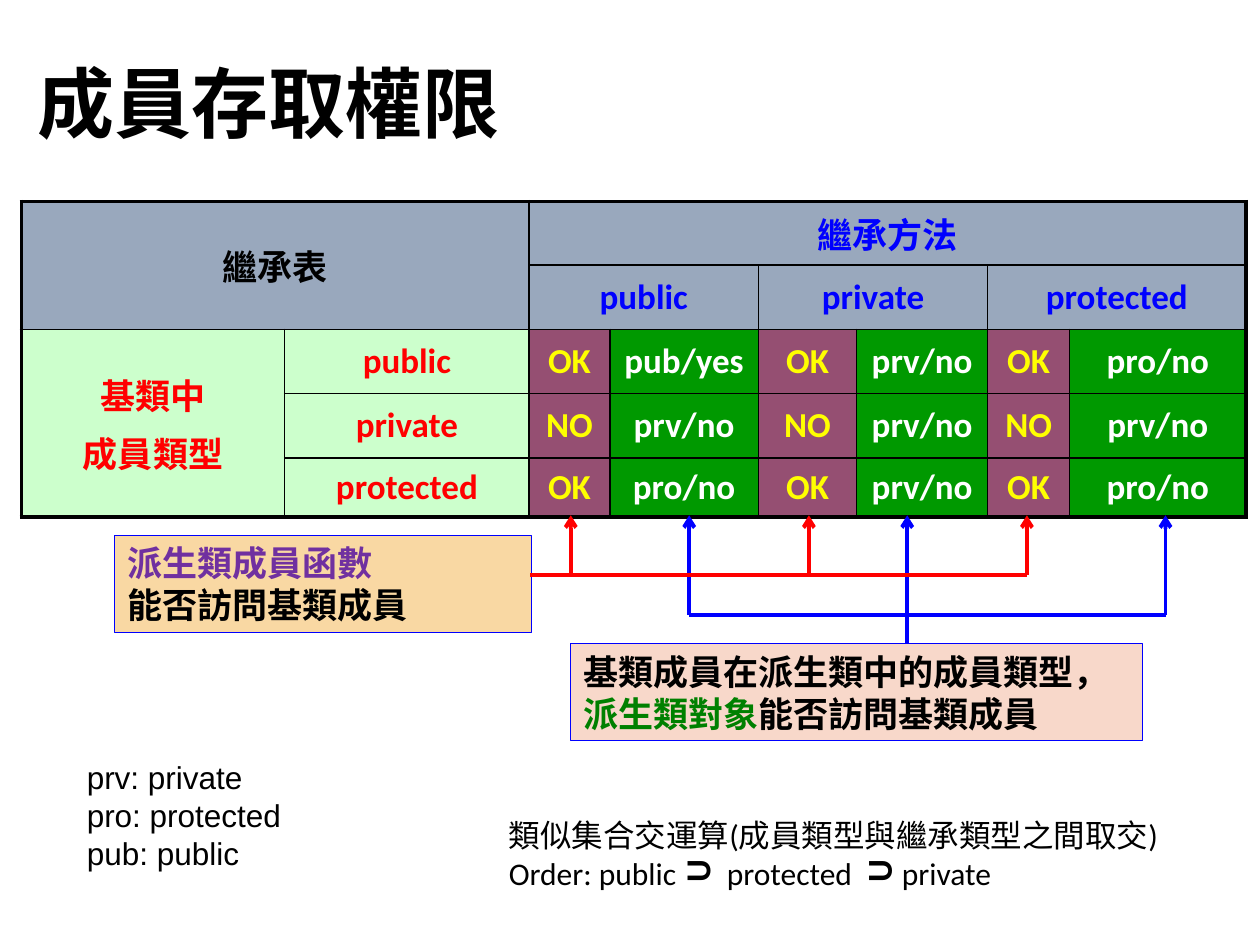
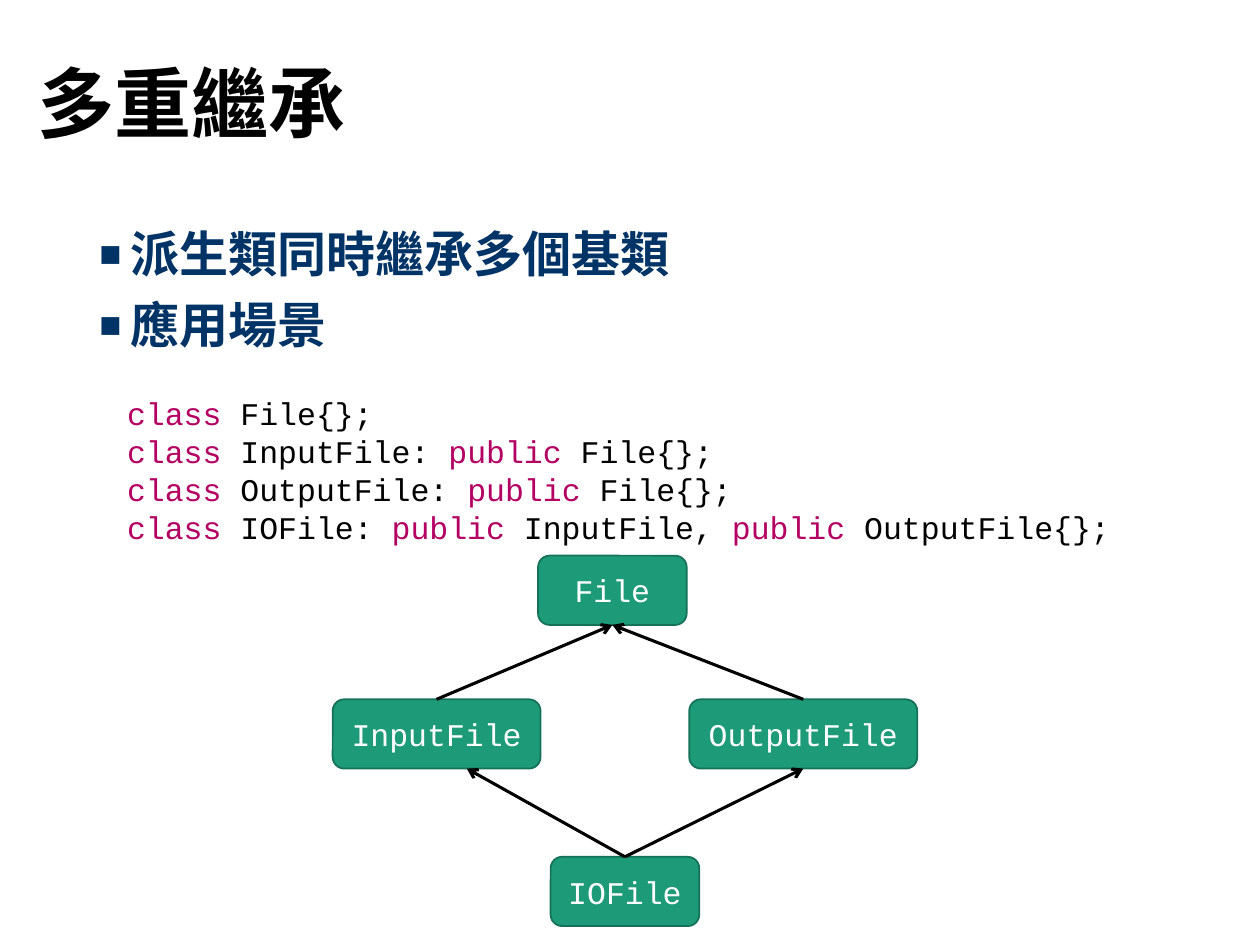
import itertools

import pptx
import pptx.dml.color
import pptx.enum.shapes
import pptx.enum.text
import pptx.oxml
import pptx.oxml.ns
import pptx.util
from lxml import etree

Inches, Pt = pptx.util.Inches, pptx.util.Pt
ANCHOR = pptx.enum.text.MSO_ANCHOR
ALIGN = pptx.enum.text.PP_ALIGN
SHAPE = pptx.enum.shapes.MSO_SHAPE
qn = pptx.oxml.ns.qn

BLACK, WHITE, RED, BLUE = "000000", "FFFFFF", "FF0000", "0000FF"
HEADER, MEMBER, ACCESS, RESULT = "99A8BD", "CCFFCC", "954F72", "009900"
KEYWORD, NAVY, NODE, NODE_LINE = "B40062", "003366", "1D9A78", "157259"

CJK = "Noto Sans CJK SC"
TITLE = {"name": CJK, "size": Pt(44), "bold": True}
STRONG = {"name": "Calibri", "size": Pt(20), "bold": True}
NOTE = {"name": "Calibri", "size": Pt(18)}
LEGEND = {"name": "Arial", "size": Pt(18)}
BULLET = {"name": "Courier New", "size": Pt(28), "bold": True}
CODE = {"name": "Courier New", "size": Pt(18)}


def rgb(value):
    """Turn a hex string into a colour."""
    return pptx.dml.color.RGBColor.from_string(value)


def inches(*values):
    """Turn numbers into lengths."""
    return [Inches(v) for v in values]


def write(tf, lines, fmt, **para):
    """Fill a frame with lines, each a list of (text, colour) runs."""
    tf.word_wrap = True
    for i, line in enumerate(lines):
        p = tf.paragraphs[0] if i == 0 else tf.add_paragraph()
        for key, value in para.items():
            if i or key != "space_before":
                setattr(p, key, value)
        for text, color in line:
            r = p.add_run()
            r.text = text
            for key, value in fmt.items():
                setattr(r.font, key, value)
            r.font.color.rgb = rgb(color)
            etree.SubElement(r.font._element, qn("a:ea"), typeface=CJK)


def add_text(s, box, lines, fmt, **para):
    """Add a text box and return it."""
    sp = s.shapes.add_textbox(*inches(*box))
    write(sp.text_frame, lines, fmt, **para)
    return sp


def add_box(s, kind, box, fill, line, width):
    """Add a filled and outlined shape without shadow."""
    sp = s.shapes.add_shape(kind, *inches(*box))
    sp.shadow.inherit = False
    sp.fill.solid()
    sp.fill.fore_color.rgb = rgb(fill)
    sp.line.color.rgb = rgb(line)
    sp.line.width = Pt(width)
    return sp


def add_line(s, start, end, color, width, arrow=None):
    """Add a straight connector, with an arrowhead at the named end."""
    straight = pptx.enum.shapes.MSO_CONNECTOR.STRAIGHT
    cxn = s.shapes.add_connector(straight, *inches(*start, *end))
    cxn.line.color.rgb = rgb(color)
    cxn.line.width = Pt(width)
    if arrow:
        etree.SubElement(cxn.line._get_or_add_ln(), qn(f"a:{arrow}"), type="arrow")
    etree.SubElement(cxn._element.spPr, qn("a:effectLst"))
    return cxn


def add_slide(prs, title):
    """Add a title-only slide with the shared title style."""
    s = prs.slides.add_slide(prs.slide_layouts[5])
    sp = s.shapes.title
    sp.left, sp.top, sp.width, sp.height = inches(0.2, 0.13, 8.62, 1.45)
    tf = sp.text_frame
    tf.auto_size = pptx.enum.text.MSO_AUTO_SIZE.NONE
    tf.vertical_anchor = ANCHOR.MIDDLE
    write(tf, [[(title, BLACK)]], TITLE, alignment=ALIGN.LEFT, line_spacing=0.9)
    return s


def set_borders(cell, widths):
    """Draw black borders, given widths by side letter."""
    for side in "LRTB":
        cell._tc.get_or_add_tcPr().append(pptx.oxml.parse_xml(
            f'<a:ln{side} xmlns:a="http://schemas.openxmlformats.org/drawingml/2006/main"'
            f' w="{Pt(widths[side])}"><a:solidFill><a:srgbClr val="{BLACK}"/>'
            f'</a:solidFill></a:ln{side}>'))


def cell_colors(row, col):
    """Return the fill and text colours of a cell."""
    if row < 2:
        return HEADER, BLUE if col > 1 else BLACK
    if col < 2:
        return MEMBER, RED
    return (RESULT, WHITE) if col % 2 else (ACCESS, YELLOW)


YELLOW = "FFFF00"


def access_table(s, left, top):
    """Build the inheritance table at a position."""
    widths = [2.09, 1.94, 0.64, 1.18, 0.78, 1.04, 0.65, 1.4]
    heights = [0.5, 0.51, 0.51, 0.51, 0.47]
    rows = [
        ["繼承表", "", "繼承方法", "", "", "", "", ""],
        ["", "", "public", "", "private", "", "protected", ""],
        ["基類中\n成員類型", "public", "OK", "pub/yes", "OK", "prv/no", "OK", "pro/no"],
        ["", "private", "NO", "prv/no", "NO", "prv/no", "NO", "prv/no"],
        ["", "protected", "OK", "pro/no", "OK", "prv/no", "OK", "pro/no"],
    ]
    n_rows, n_cols = len(rows), len(widths)
    size = inches(left, top, sum(widths), sum(heights))
    table = s.shapes.add_table(n_rows, n_cols, *size).table
    table.first_row = table.horz_banding = False
    for col, width in zip(table.columns, widths):
        col.width = Inches(width)
    for row, height in zip(table.rows, heights):
        row.height = Inches(height)
    merges = [(0, 0, 1, 1), (0, 2, 0, 7), (2, 0, 4, 0)]
    merges += [(1, c, 1, c + 1) for c in (2, 4, 6)]
    for r1, c1, r2, c2 in merges:
        table.cell(r1, c1).merge(table.cell(r2, c2))
    for r, c in itertools.product(range(n_rows), range(n_cols)):
        cell = table.cell(r, c)
        outer = {"L": c == 0, "T": r == 0,
                 "R": c + cell.span_width == n_cols or c == n_cols - 1,
                 "B": r + cell.span_height == n_rows or r == n_rows - 1}
        set_borders(cell, {side: 2.25 if edge else 1 for side, edge in outer.items()})
        fill, color = cell_colors(r, c)
        cell.fill.solid()
        cell.fill.fore_color.rgb = rgb(fill)
        cell.vertical_anchor = ANCHOR.MIDDLE
        if rows[r][c]:
            lines = [[(text, color)] for text in rows[r][c].split("\n")]
            write(cell.text_frame, lines, STRONG, alignment=ALIGN.CENTER,
                  space_before=Pt(4))


def callout(s, box, fill, lines, font):
    """Add a blue-edged explanation box."""
    sp = add_box(s, SHAPE.RECTANGLE, box, fill, BLUE, 0.75)
    sp.text_frame.vertical_anchor = ANCHOR.TOP
    write(sp.text_frame, lines, {**STRONG, "name": font}, alignment=ALIGN.LEFT)


def column_arrows(s, color, top, arrows, bus):
    """Point at table columns from a horizontal bus (left, right, y)."""
    left, right, y = bus
    for x, bottom in arrows:
        add_line(s, (x, top), (x, bottom), color, 2.25, "headEnd")
    add_line(s, (left, y), (right, y), color, 2.25)


def order_note(s, left, top):
    """Add the set-order note with its turned superset signs."""
    lines = [[("類似集合交運算(成員類型與繼承類型之間取交)", BLACK)],
             [("Order: public\tprotected\tprivate", BLACK)]]
    sp = add_text(s, (left, top, 5.55, 0.71), lines, NOTE)
    pPr = sp.text_frame.paragraphs[1]._p.get_or_add_pPr()
    tabs = etree.SubElement(pPr, qn("a:tabLst"))
    for pos in (1.73, 3.12):
        etree.SubElement(tabs, qn("a:tab"), pos=str(Inches(pos)), algn="l")
    for dx in (1.37, 2.81):
        sign = add_text(s, (left + dx, top + 0.39, 0.54, 0.28), [[("U", BLACK)]], STRONG)
        sign.rotation = 180
        sign.text_frame.word_wrap = False
        sign.text_frame._txBody.bodyPr.set("vert", "eaVert")


def access_slide(prs):
    """Build the member access slide."""
    s = add_slide(prs, "成員存取權限")
    access_table(s, 0.17, 1.6)
    top, red_y, blue_y, box_y = 4.09, 4.56, 4.88, 5.11
    callout(s, (0.91, 4.25, 3.31, 0.77), "F9D8A3",
            [[("派生類成員函數", "7030A0")], [("能否訪問基類成員", BLACK)]], "Arial")
    callout(s, (4.53, box_y, 4.54, 0.77), "F8D8CA",
            [[("基類成員在派生類中的成員類型，", BLACK)],
             [("派生類對象", "008000"), ("能否訪問基類成員", BLACK)]], "Calibri")
    column_arrows(s, BLUE, top, [(5.47, blue_y), (7.2, box_y), (9.25, blue_y)],
                  (5.47, 9.25, blue_y))
    column_arrows(s, RED, top, [(x, red_y) for x in (4.53, 6.42, 8.15)],
                  (4.21, 8.15, red_y))
    legend = ["prv: private", "pro: protected", "pub: public"]
    add_text(s, (0.59, 5.97, 2.52, 1.01), [[(t, BLACK)] for t in legend], LEGEND)
    order_note(s, 3.94, 6.43)


def bullet_list(s, box, items):
    """Add square-bulleted headings."""
    sp = add_text(s, box, [[(t, NAVY)] for t in items], BULLET,
                  line_spacing=0.9, space_before=Pt(10))
    for p in sp.text_frame.paragraphs:
        pPr = p._p.get_or_add_pPr()
        pPr.set("marL", str(Inches(0.25)))
        pPr.set("indent", str(-Inches(0.25)))
        etree.SubElement(pPr, qn("a:buSzPct"), val="75000")
        etree.SubElement(pPr, qn("a:buFont"), typeface="Arial")
        etree.SubElement(pPr, qn("a:buChar"), char="■")


def code_runs(line):
    """Split a code line into coloured runs by keyword."""
    groups = itertools.groupby(line.split(" "), lambda w: w in ("class", "public"))
    runs = [(" ".join(words) + " ", KEYWORD if key else BLACK) for key, words in groups]
    text, color = runs[-1]
    return runs[:-1] + [(text.rstrip(), color)]


def class_diagram(s, left, top):
    """Draw the diamond of classes with arrows to their bases."""
    boxes = {"InputFile": (0, 1.14, 1.65), "OutputFile": (2.83, 1.14, 1.81),
             "File": (1.63, 0, 1.18), "IOFile": (1.73, 2.39, 1.18)}
    nodes = {}
    for name, (dx, dy, width) in boxes.items():
        sp = add_box(s, SHAPE.ROUNDED_RECTANGLE, (left + dx, top + dy, width, 0.55),
                     NODE, NODE_LINE, 1)
        sp.text_frame.vertical_anchor = ANCHOR.MIDDLE
        write(sp.text_frame, [[(name, WHITE)]], CODE, alignment=ALIGN.CENTER)
        nodes[name] = sp
    edges = [("IOFile", "InputFile", 0.24), ("IOFile", "OutputFile", 0),
             ("InputFile", "File", 0), ("OutputFile", "File", 0)]
    for child, base, shift in edges:
        (x1, y1, w1), (x2, y2, w2) = boxes[child], boxes[base]
        cxn = add_line(s, (left + x1 + w1 / 2, top + y1),
                       (left + x2 + w2 / 2 + shift, top + y2 + 0.55),
                       BLACK, 1.75, "tailEnd")
        cxn.begin_connect(nodes[child], 0)
        if not shift:
            cxn.end_connect(nodes[base], 2)


def multiple_slide(prs):
    """Build the multiple inheritance slide."""
    s = add_slide(prs, "多重繼承")
    bullet_list(s, (0.69, 1.78, 8.8, 1.2), ["派生類同時繼承多個基類", "應用場景"])
    code = ["class File{};",
            "class InputFile: public File{};",
            "class OutputFile: public File{};",
            "class IOFile: public InputFile, public OutputFile{};"]
    add_text(s, (0.91, 3.08, 8.58, 1.31), [code_runs(t) for t in code], CODE)
    class_diagram(s, 2.64, 4.41)


def main():
    """Build and save the presentation."""
    prs = pptx.Presentation()
    prs.slide_width, prs.slide_height = inches(10, 7.5)
    access_slide(prs)
    multiple_slide(prs)
    prs.save("out.pptx")


if __name__ == "__main__":
    main()
